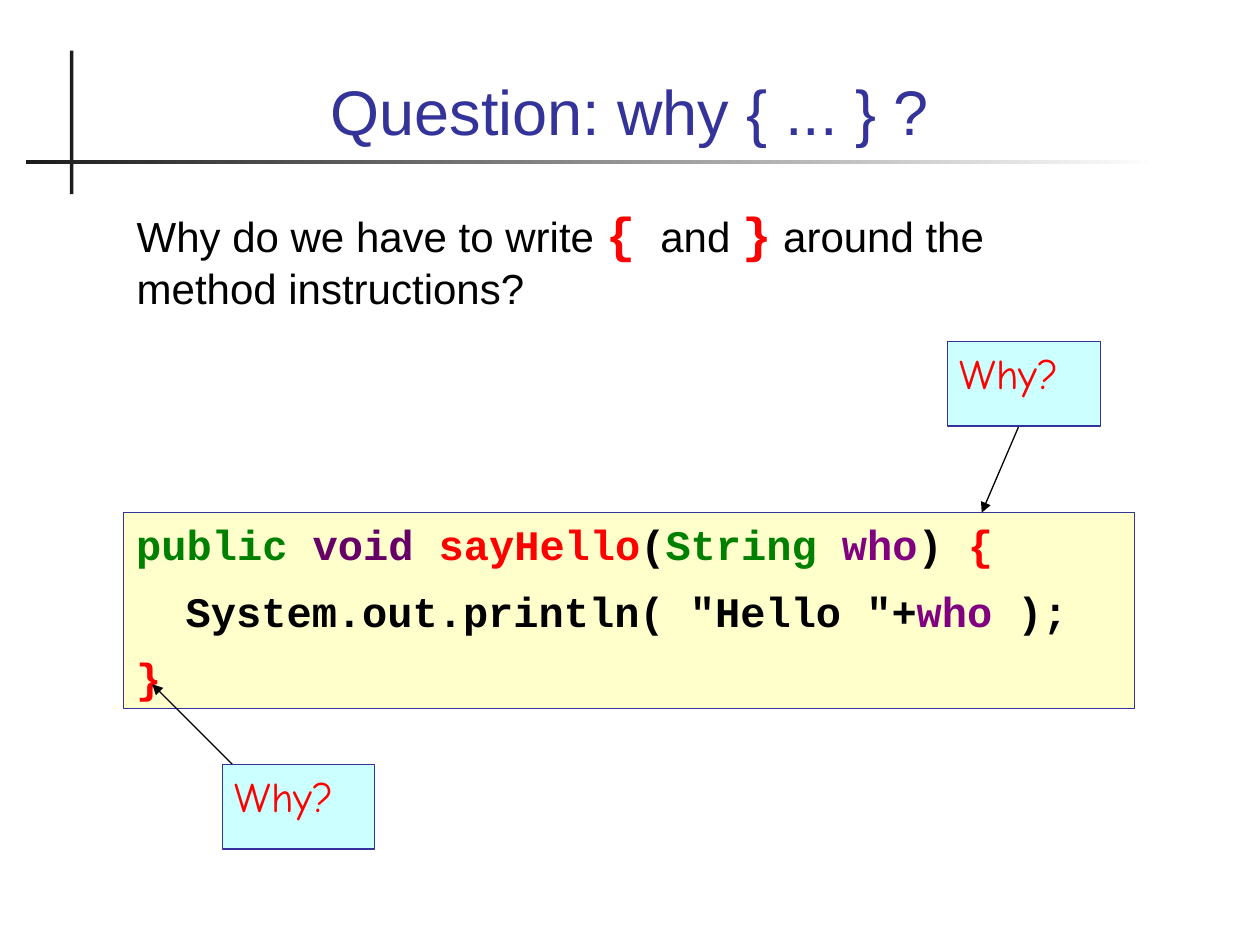
from pptx import Presentation
from pptx.dml.color import RGBColor
from pptx.enum.shapes import MSO_CONNECTOR, MSO_SHAPE
from pptx.enum.text import MSO_ANCHOR, MSO_AUTO_SIZE, PP_ALIGN
from pptx.oxml.ns import qn
from pptx.util import Pt
from lxml import etree

RECTANGLE = MSO_SHAPE.RECTANGLE
STRAIGHT = MSO_CONNECTOR.STRAIGHT
TOP, BOTTOM = MSO_ANCHOR.TOP, MSO_ANCHOR.BOTTOM
LEFT, CENTER = PP_ALIGN.LEFT, PP_ALIGN.CENTER
NO_AUTOFIT = MSO_AUTO_SIZE.NONE

BLACK = RGBColor(0x00, 0x00, 0x00)
WHITE = RGBColor(0xFF, 0xFF, 0xFF)
CHARCOAL = RGBColor(0x1C, 0x1C, 0x1C)
INDIGO = RGBColor(0x33, 0x33, 0x99)
RED = RGBColor(0xFF, 0x00, 0x00)
GREEN = RGBColor(0x00, 0x80, 0x00)
PURPLE = RGBColor(0x80, 0x00, 0x80)
DARK_PURPLE = RGBColor(0x66, 0x00, 0x66)
CREAM = RGBColor(0xFF, 0xFF, 0xCC)
PALE_CYAN = RGBColor(0xCC, 0xFF, 0xFF)

BODY_FONT, CODE_FONT, NOTE_FONT = "Arial", "Courier New", "Comic Neue"
TAB_STOP = 28.3

CODE_LINES = [
    [("public ", GREEN), ("void ", DARK_PURPLE), ("sayHello", RED), ("(", BLACK),
     ("String ", GREEN), ("who", PURPLE), (") ", BLACK), ("{", RED)],
    [('\tSystem.out.println( "Hello "+', BLACK), ("who", PURPLE), (" );", BLACK)],
    [("}", RED)],
]


def add_span(para, text, font, size, color, bold=False):
    span = para.add_run()
    span.text = text
    span.font.name = font
    span.font.size = Pt(size)
    span.font.color.rgb = color
    span.font.bold = bold


def prepare_frame(shape, anchor=TOP):
    frame = shape.text_frame
    frame.word_wrap = True
    frame.auto_size = NO_AUTOFIT
    frame.vertical_anchor = anchor
    return frame


def add_tab_stop(para):
    tabs = etree.SubElement(para._p.get_or_add_pPr(), qn("a:tabLst"))
    etree.SubElement(tabs, qn("a:tab"), pos=str(Pt(TAB_STOP)), algn="l")


def add_box(page, left, top, width, height, fill, line=None):
    box = page.shapes.add_shape(RECTANGLE, Pt(left), Pt(top), Pt(width), Pt(height))
    box.shadow.inherit = False
    box.fill.solid()
    box.fill.fore_color.rgb = fill
    if line is None:
        box.line.fill.background()
    else:
        box.line.color.rgb = line
        box.line.width = Pt(0.75)
    return box


def add_cross_rules(page):
    """Draw the vertical rule and the fading rule under the title."""
    add_box(page, 40, 29, 2, 82, CHARCOAL)
    rule = add_box(page, 15, 91.3, 647, 2.2, CHARCOAL)
    rule.fill.gradient()
    rule.fill.gradient_angle = 0
    for stop, color in zip(rule.fill.gradient_stops, (CHARCOAL, WHITE)):
        stop.color.rgb = color


def fill_title(page, text):
    title = page.shapes.title
    title.left, title.top, title.width, title.height = Pt(48), Pt(20), Pt(624), Pt(68.5)
    para = prepare_frame(title, BOTTOM).paragraphs[0]
    para.alignment = CENTER
    add_span(para, text, BODY_FONT, 36, INDIGO)


def add_question(page):
    box = page.shapes.add_textbox(Pt(71), Pt(113), Pt(578), Pt(70))
    para = prepare_frame(box).paragraphs[0]
    add_span(para, "Why do we have to write ", BODY_FONT, 24, BLACK)
    add_span(para, "{", CODE_FONT, 28, RED, True)
    add_span(para, " ", CODE_FONT, 24, BLACK, True)
    add_span(para, "and ", BODY_FONT, 24, BLACK)
    add_span(para, "}", CODE_FONT, 28, RED, True)
    add_span(para, " around the method instructions?", BODY_FONT, 24, BLACK)


def add_code(page):
    box = add_box(page, 70.75, 293, 577.5, 111.75, CREAM, INDIGO)
    frame = prepare_frame(box)
    for index, line in enumerate(CODE_LINES):
        para = frame.add_paragraph() if index else frame.paragraphs[0]
        para.alignment = LEFT
        if index:
            para.space_before = Pt(9)
        add_tab_stop(para)
        for text, color in line:
            add_span(para, text, CODE_FONT, 24, color, True)


def add_note(page, left, top):
    box = add_box(page, left, top, 87.25, 48.25, PALE_CYAN, INDIGO)
    para = prepare_frame(box).paragraphs[0]
    para.alignment = LEFT
    add_span(para, "Why?", NOTE_FONT, 24, RED)


def add_arrow(page, start, end):
    arrow = page.shapes.add_connector(STRAIGHT, *(Pt(value) for value in start + end))
    arrow.line.color.rgb = BLACK
    arrow.line.width = Pt(0.75)
    etree.SubElement(arrow.line._get_or_add_ln(), qn("a:tailEnd"), type="triangle")
    etree.SubElement(arrow._element.spPr, qn("a:effectLst"))


def main():
    deck = Presentation()
    deck.slide_width, deck.slide_height = Pt(720), Pt(540)
    page = deck.slides.add_slide(deck.slide_layouts[5])
    add_cross_rules(page)
    fill_title(page, "Question: why { ... } ?")
    add_question(page)
    add_code(page)
    add_arrow(page, (583.5, 240.5), (561, 293))
    add_note(page, 541.5, 195.25)
    add_arrow(page, (134, 438), (87, 391))
    add_note(page, 127, 437)
    deck.save("out.pptx")


if __name__ == "__main__":
    main()
